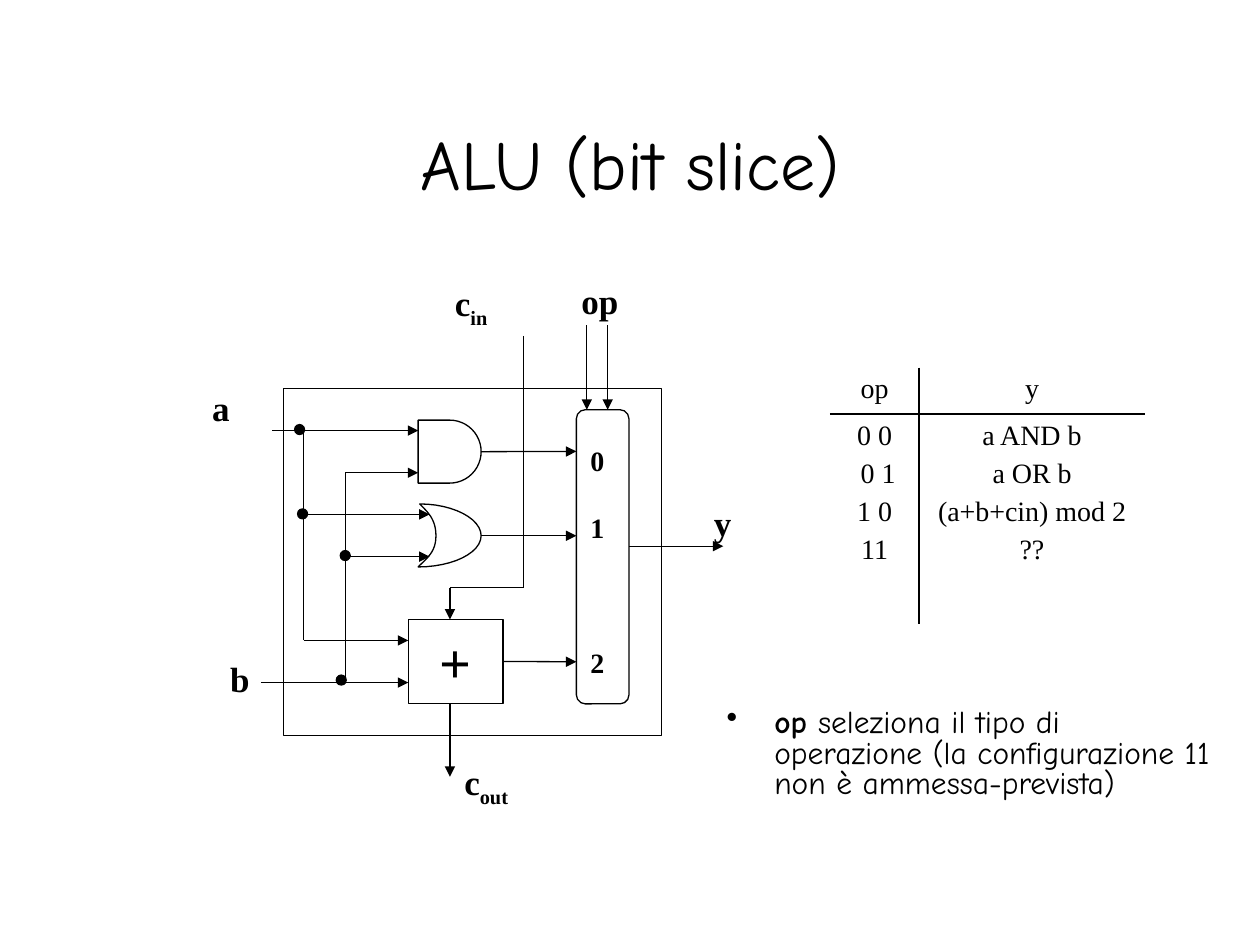
from lxml import etree
from pptx import Presentation
from pptx.dml.color import RGBColor
from pptx.enum.shapes import MSO_CONNECTOR, MSO_SHAPE
from pptx.enum.text import MSO_ANCHOR, MSO_AUTO_SIZE, PP_ALIGN
from pptx.oxml.ns import qn
from pptx.util import Cm, Pt

STRAIGHT = MSO_CONNECTOR.STRAIGHT
RECTANGLE, ROUNDED = MSO_SHAPE.RECTANGLE, MSO_SHAPE.ROUNDED_RECTANGLE
DELAY, OVAL = MSO_SHAPE.FLOWCHART_DELAY, MSO_SHAPE.OVAL
LEFT, CENTER, RIGHT = PP_ALIGN.LEFT, PP_ALIGN.CENTER, PP_ALIGN.RIGHT
MIDDLE, TOP = MSO_ANCHOR.MIDDLE, MSO_ANCHOR.TOP
GROW = MSO_AUTO_SIZE.SHAPE_TO_FIT_TEXT
BLACK, WHITE = "000000", "FFFFFF"
SERIF, COMIC = "Times New Roman", "Comic Neue"


def color(value):
    return RGBColor.from_string(value)


def add_run(para, text, size, font=SERIF, bold=False):
    span = para.add_run()
    span.text = text
    span.font.size = Pt(size)
    span.font.name = font
    span.font.bold = bold
    span.font.color.rgb = color(BLACK)
    return span


deck = Presentation()
deck.slide_width, deck.slide_height = Cm(25.4), Cm(19.05)
page = deck.slides.add_slide(deck.slide_layouts[5])
shapes = page.shapes

# Title
title = shapes.title
title.left, title.top, title.width, title.height = Cm(1.91), Cm(1.69), Cm(21.59), Cm(3.18)
title.text_frame.vertical_anchor = MIDDLE
para = title.text_frame.paragraphs[0]
para.alignment = CENTER
add_run(para, "ALU (bit slice)", 40, COMIC)

# Slice outline, AND gate, adder and multiplexer
blocks = {}
for name, kind, left, top, width, height in [
    ("slice", RECTANGLE, 5.72, 7.83, 7.62, 7),
    ("and", DELAY, 8.43, 8.47, 1.27, 1.27),
    ("adder", RECTANGLE, 8.23, 12.49, 1.91, 1.69),
    ("mux", ROUNDED, 11.62, 8.26, 1.06, 5.93),
]:
    blocks[name] = shapes.add_shape(kind, Cm(left), Cm(top), Cm(width), Cm(height))
blocks["mux"].adjustments[0] = 0.17

# OR gate, its outline sampled from Bezier curves
or_curves = [
    [(8.43, 11.43), (8.61, 11.25), (8.79, 11.13), (8.79, 10.8)],
    [(8.79, 10.8), (8.79, 10.46), (8.61, 10.31), (8.46, 10.16)],
    [(8.46, 10.16), (9.14, 10.16), (9.7, 10.46), (9.7, 10.8)],
    [(9.7, 10.8), (9.7, 11.15), (9.12, 11.43), (8.43, 11.43)],
]
STEPS = 12
points = []
for curve in or_curves:
    for step in range(1, STEPS + 1):
        t = step / STEPS
        weights = [(1 - t) ** 3, 3 * t * (1 - t) ** 2, 3 * t * t * (1 - t), t ** 3]
        x, y = (sum(w * p[axis] for w, p in zip(weights, curve)) for axis in (0, 1))
        points.append((Cm(x), Cm(y)))
builder = shapes.build_freeform(Cm(8.43), Cm(11.43))
builder.add_line_segments(points, close=True)
blocks["or"] = builder.convert_to_shape()

for block in blocks.values():
    block.shadow.inherit = False
    block.fill.solid()
    block.fill.fore_color.rgb = color(WHITE)
    block.line.color.rgb = color(BLACK)
    block.line.width = Pt(0.75)

frame = blocks["adder"].text_frame
frame.word_wrap = False
frame.vertical_anchor = MIDDLE
frame.paragraphs[0].alignment = CENTER
add_run(frame.paragraphs[0], "+", 32, bold=True)

# Wires: start, end, arrowhead, block joined at its right side
wires = [
    (5.49, 8.68, 8.43, 8.68, True, None),
    (6.96, 9.53, 8.43, 9.53, True, None),
    (9.7, 9.1, 11.62, 9.1, True, "and"),
    (6.12, 10.37, 8.66, 10.37, True, None),
    (6.96, 11.22, 8.66, 11.22, True, None),
    (9.7, 10.8, 11.62, 10.8, True, None),
    (5.26, 13.76, 8.23, 13.76, True, None),
    (6.96, 9.53, 6.96, 13.76, False, None),
    (6.12, 12.91, 8.23, 12.91, True, None),
    (6.12, 8.68, 6.12, 12.91, False, None),
    (10.14, 13.34, 11.62, 13.34, True, "adder"),
    (11.83, 6.56, 11.83, 8.26, True, None),
    (12.25, 6.56, 12.25, 8.26, True, None),
    (12.68, 11.01, 14.58, 11.01, True, None),
    (9.07, 11.85, 9.07, 12.49, True, None),
    (9.07, 11.85, 10.56, 11.85, False, None),
    (10.56, 6.77, 10.56, 11.85, False, None),
    (9.07, 14.18, 9.07, 15.66, True, None),
]
for x1, y1, x2, y2, arrow, source in wires:
    wire = shapes.add_connector(STRAIGHT, Cm(x1), Cm(y1), Cm(x2), Cm(y2))
    if source:
        wire.begin_connect(blocks[source], 3)
    wire.line.color.rgb = color(BLACK)
    wire.line.width = Pt(0.75)
    if arrow:
        etree.SubElement(wire.line._get_or_add_ln(), qn("a:tailEnd"), type="triangle")
    etree.SubElement(wire._element.spPr, qn("a:effectLst"))

# Junction dots
for left, top in [(6.78, 13.61), (6.86, 11.1), (5.94, 8.56), (6, 10.26)]:
    dot = shapes.add_shape(OVAL, Cm(left), Cm(top), Cm(0.2), Cm(0.2))
    dot.shadow.inherit = False
    dot.fill.solid()
    dot.fill.fore_color.rgb = color(BLACK)
    dot.line.color.rgb = color(BLACK)
    dot.line.width = Pt(0.75)

# Signal names, with their subscripts
for text, subscript, align, left, top, width, height in [
    ("a", "", RIGHT, 4.02, 7.67, 0.86, 1.12),
    ("b", "", RIGHT, 4.39, 13.13, 0.89, 1.12),
    ("op", "", RIGHT, 11.32, 5.51, 1.4, 1.12),
    ("c", "in", LEFT, 8.92, 5.56, 1.17, 1.22),
    ("c", "out", LEFT, 9.11, 15.21, 1.4, 1.22),
    ("y", "", LEFT, 14.14, 9.98, 0.86, 1.12),
]:
    box = shapes.add_textbox(Cm(left), Cm(top), Cm(width), Cm(height))
    box.text_frame.word_wrap = False
    box.text_frame.auto_size = GROW
    para = box.text_frame.paragraphs[0]
    para.alignment = align
    add_run(para, text, 20, bold=True)
    if subscript:
        span = add_run(para, subscript, 20, bold=True)
        span.font._element.set("baseline", "-25000")

# Multiplexer input numbers
box = shapes.add_textbox(Cm(11.65), Cm(8.81), Cm(0.79), Cm(5))
frame = box.text_frame
frame.word_wrap = False
frame.auto_size = GROW
for number, gap in [("0", 0), ("1", 19.5), ("2", 58)]:
    para = frame.add_paragraph() if gap else frame.paragraphs[0]
    if gap:
        para.space_before = Pt(gap)
    add_run(para, number, 16, bold=True)

# Operation table
rows = [
    [["op"], ["y"]],
    [["0 0", " 0 1", "1 0", "11"], ["a AND b", "a OR b", "(a+b+cin) mod 2", "??"]],
]
table = shapes.add_table(2, 2, Cm(16.73), Cm(7.41), Cm(6.35), Cm(5.16)).table
table.first_row = table.horz_banding = False
for column, width in zip(table.columns, (1.8, 4.55)):
    column.width = Cm(width)
for row, height in zip(table.rows, (0.94, 4.22)):
    row.height = Cm(height)
for r, row in enumerate(rows):
    for c, lines in enumerate(row):
        cell = table.cell(r, c)
        cell.vertical_anchor = TOP
        cell.fill.background()
        drawn = {"lnR" if c == 0 else "lnL", "lnB" if r == 0 else "lnT"}
        properties = cell._tc.get_or_add_tcPr()
        for position, side in enumerate(("lnL", "lnR", "lnT", "lnB")):
            border = etree.Element(qn("a:" + side), w=str(Pt(1.08)))
            if side in drawn:
                fill = etree.SubElement(border, qn("a:solidFill"))
                etree.SubElement(fill, qn("a:srgbClr"), val=BLACK)
            else:
                etree.SubElement(border, qn("a:noFill"))
            properties.insert(position, border)
        for i, line in enumerate(lines):
            para = cell.text_frame.add_paragraph() if i else cell.text_frame.paragraphs[0]
            para.alignment = CENTER
            if i:
                para.space_before = Pt(4)
            add_run(para, line, 16)

# Bulleted remark
box = shapes.add_textbox(Cm(14.4), Cm(14.18), Cm(10.36), Cm(2.12))
box.text_frame.word_wrap = True
para = box.text_frame.paragraphs[0]
para.line_spacing = 0.8
properties = para._p.get_or_add_pPr()
properties.set("marL", str(Cm(0.96)))
properties.set("indent", str(-Cm(0.96)))
etree.SubElement(properties, qn("a:buChar"), char="•")
add_run(para, "op ", 18, COMIC, bold=True)
add_run(para, "seleziona il tipo di operazione (la configurazione 11 non è ammessa-prevista)", 18, COMIC)

deck.save("out.pptx")
